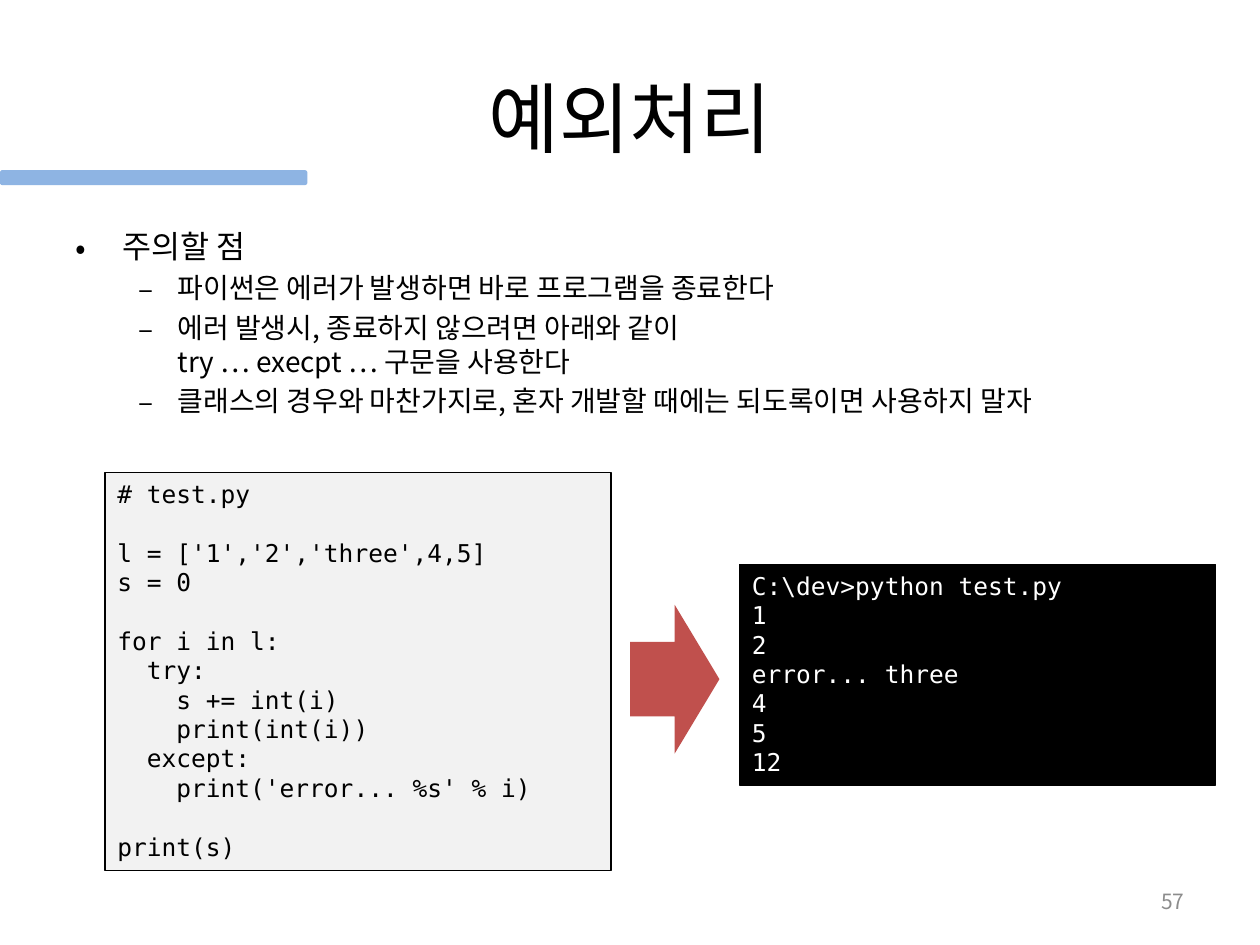
import copy
import pptx
import pptx.dml.color
import pptx.enum.shapes
import pptx.enum.text
import pptx.oxml
import pptx.oxml.ns
import pptx.util

Pt = pptx.util.Pt
Kind = pptx.enum.shapes.MSO_SHAPE
Align = pptx.enum.text.PP_ALIGN
Anchor = pptx.enum.text.MSO_ANCHOR
qn = pptx.oxml.ns.qn
KOREAN = "Noto Sans CJK KR"
MONO = "DejaVu Sans Mono"


def paint(target, color):
    if hasattr(target, "solid"):
        target.solid()
        target = target.fore_color
    else:
        target = target.color
    target.rgb = pptx.dml.color.RGBColor.from_string(color)


def write(paragraph, text, face, size, color, **layout):
    paragraph.text = text
    for run in paragraph.runs:
        for name, value in {"name": face, "size": Pt(size)}.items():
            setattr(run.font, name, value)
        paint(run.font, color)
        east_asian = run.font._element.makeelement(qn("a:ea"), {"typeface": face})
        run.font._element.find(qn("a:latin")).addnext(east_asian)
    for line_break in paragraph._p.findall(qn("a:br")):
        line_break.append(copy.deepcopy(paragraph.runs[0].font._element))
    for name, value in layout.items():
        setattr(paragraph, name, value)


deck = pptx.Presentation()
deck.slide_width, deck.slide_height = Pt(720), Pt(540)
slide = deck.slides.add_slide(deck.slide_layouts[5])
shapes = slide.shapes

title = shapes.title
place = {"left": 36, "top": 21.6, "width": 648, "height": 90}
for name, value in place.items():
    setattr(title, name, Pt(value))
title.text_frame.vertical_anchor = Anchor.MIDDLE
write(title.text_frame.paragraphs[0], "예외처리", KOREAN, 44, "000000", alignment=Align.CENTER)

notes = [
    (0, "주의할 점"),
    (1, "파이썬은 에러가 발생하면 바로 프로그램을 종료한다"),
    (1, "에러 발생시, 종료하지 않으려면 아래와 같이\vtry … execpt … 구문을 사용한다"),
    (1, "클래스의 경우와 마찬가지로, 혼자 개발할 때에는 되도록이면 사용하지 말자"),
]
levels = [
    {"size": 18, "bullet": "•", "margin": 27, "hanging": 27, "before": 0, "line": 21.8},
    {"size": 16, "bullet": "–", "margin": 58.5, "hanging": 22.5, "before": 3.2, "line": 19.4},
]
body = shapes.add_textbox(Pt(36), Pt(126), Pt(648), Pt(356.4)).text_frame
body.word_wrap = True
for index, (level, note) in enumerate(notes):
    style = levels[level]
    paragraph = body.add_paragraph() if index else body.paragraphs[0]
    write(paragraph, note, KOREAN, style["size"], "000000", level=level,
          space_before=Pt(style["before"]), line_spacing=Pt(style["line"]))
    properties = paragraph._p.get_or_add_pPr()
    properties.set("marL", str(Pt(style["margin"])))
    properties.set("indent", str(-Pt(style["hanging"])))
    font = properties.makeelement(qn("a:buFont"), {"typeface": KOREAN})
    bullet = properties.makeelement(qn("a:buChar"), {"char": style["bullet"]})
    properties.extend([font, bullet])

code = """# test.py

l = ['1','2','three',4,5]
s = 0

for i in l:
  try:
    s += int(i)
    print(int(i))
  except:
    print('error... %s' % i)

print(s)"""
console = """C:\\dev>python test.py
1
2
error... three
4
5
12"""
listings = [
    (code, (60, 270, 289.2, 227.6), "F2F2F2", "000000"),
    (console, (422.6, 322.6, 272.2, 126), "000000", "FFFFFF"),
]
for listing, box, background, ink in listings:
    panel = shapes.add_shape(Kind.RECTANGLE, *map(Pt, box))
    panel.shadow.inherit = False
    paint(panel.fill, background)
    paint(panel.line, "000000")
    panel.line.width = Pt(0.75)
    frame = panel.text_frame
    for name, value in {"word_wrap": True, "vertical_anchor": Anchor.TOP}.items():
        setattr(frame, name, value)
    paragraph, gap = frame.paragraphs[0], 0
    for index, line in enumerate(listing.splitlines()):
        if not line:
            gap = 16.8
            continue
        if index:
            paragraph = frame.add_paragraph()
        write(paragraph, line, MONO, 14, ink, alignment=Align.LEFT,
              space_before=Pt(gap), line_spacing=Pt(16.8))
        gap = 0

accents = [
    (Kind.RIGHT_ARROW, (360, 345.6, 51.1, 85), "C0504D"),
    (Kind.ROUNDED_RECTANGLE, (0, 97.2, 175.7, 8.6), "8EB4E3"),
]
for kind, box, color in accents:
    accent = shapes.add_shape(kind, *map(Pt, box))
    accent.shadow.inherit = False
    paint(accent.fill, color)
    accent.line.fill.background()

page = shapes.add_textbox(Pt(516.2), Pt(500.4), Pt(167.8), Pt(28.8)).text_frame
for name, value in {"word_wrap": True, "vertical_anchor": Anchor.MIDDLE}.items():
    setattr(page, name, value)
write(page.paragraphs[0], "57", KOREAN, 12, "8C8C8C", alignment=Align.RIGHT)

deck.save("out.pptx")
